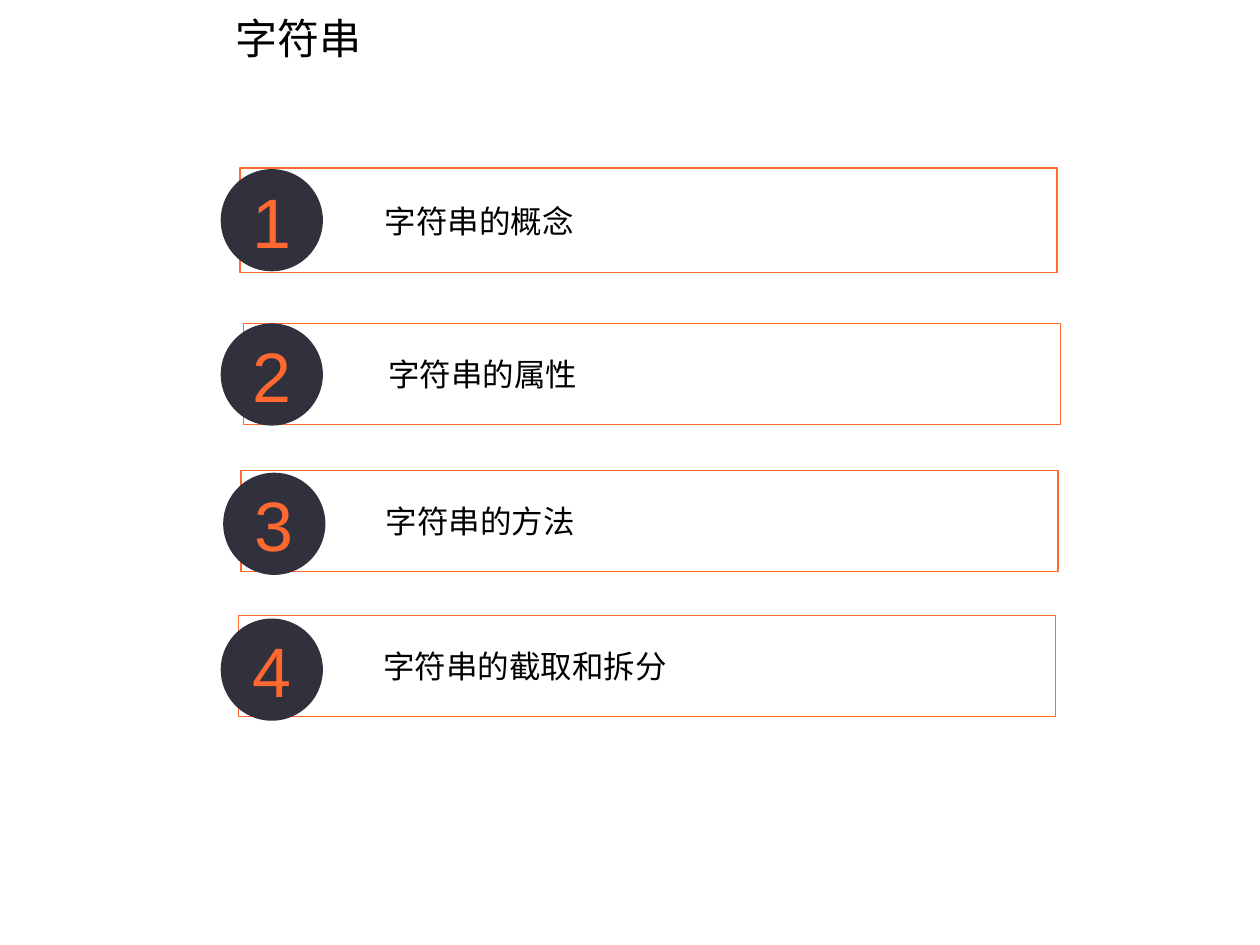
from lxml.etree import SubElement
from pptx import Presentation
from pptx.dml.color import RGBColor
from pptx.enum.shapes import MSO_SHAPE as Shape
from pptx.enum.text import MSO_ANCHOR as Anchor, MSO_AUTO_SIZE as AutoSize, PP_ALIGN as Align
from pptx.oxml.ns import qn
from pptx.util import Cm, Pt


def color(value):
    return RGBColor.from_string(value)


def write(shape, text, size, font_name, font_color, align, anchor, margins):
    frame = shape.text_frame
    frame.text = text
    frame.word_wrap = True
    frame.auto_size = AutoSize.NONE
    frame.vertical_anchor = anchor
    frame.margin_left, frame.margin_top, frame.margin_right, frame.margin_bottom = map(Cm, margins)
    paragraph = frame.paragraphs[0]
    paragraph.alignment = align
    font = paragraph.runs[0].font
    font.size = Pt(size)
    font.name = font_name
    font.color.rgb = color(font_color)
    SubElement(font._element, qn("a:ea")).set("typeface", "Noto Sans CJK SC")
    return paragraph


ORANGE, DARK, WHITE, BLACK = "FF682F", "30313C", "FFFFFF", "000000"
DEFAULT_MARGINS = (0.25, 0.13, 0.25, 0.13)
BAR_MARGINS = (1.65, 0.2, 0.2, 0.2)
BAR_WIDTH = 16.47
CIRCLE_SIZE = 2.06

presentation = Presentation()
presentation.slide_width = Cm(25.4)
presentation.slide_height = Cm(19.05)
slide = presentation.slides.add_slide(presentation.slide_layouts[5])

title = slide.shapes.title
title.left, title.top, title.width, title.height = Cm(4.5), Cm(0.13), Cm(10.21), Cm(1.27)
write(title, "字符串", 24, "Noto Sans CJK SC", BLACK, Align.LEFT, Anchor.TOP, DEFAULT_MARGINS)

topics = [
    ("字符串的概念", 4.84, 3.39, 2.11, 4.45, 3.41),
    ("字符串的属性", 4.91, 6.52, 2.04, 4.45, 6.52),
    ("字符串的方法", 4.86, 9.48, 2.04, 4.5, 9.53),
    ("字符串的截取和拆分", 4.81, 12.41, 2.04, 4.45, 12.47),
]

for number, (topic, bar_left, bar_top, bar_height, circle_left, circle_top) in enumerate(topics, 1):
    bar = slide.shapes.add_shape(
        Shape.RECTANGLE, Cm(bar_left), Cm(bar_top), Cm(BAR_WIDTH), Cm(bar_height))
    bar.shadow.inherit = False
    bar.fill.solid()
    bar.fill.fore_color.rgb = color(WHITE)
    fill_color = bar._element.spPr.find(qn("a:solidFill")).find(qn("a:srgbClr"))
    SubElement(fill_color, qn("a:alpha")).set("val", "40000")
    bar.line.color.rgb = color(ORANGE)
    bar.line.width = Pt(0.75)
    paragraph = write(bar, topic, 18, "Arial", BLACK, Align.LEFT, Anchor.MIDDLE, BAR_MARGINS)
    paragraph.level = 1
    properties = paragraph._p.get_or_add_pPr()
    properties.set("marL", str(Cm(1.27)))
    properties.set("indent", "0")

    circle = slide.shapes.add_shape(
        Shape.OVAL, Cm(circle_left), Cm(circle_top), Cm(CIRCLE_SIZE), Cm(CIRCLE_SIZE))
    circle.shadow.inherit = False
    circle.fill.solid()
    circle.fill.fore_color.rgb = color(DARK)
    circle.line.fill.background()
    write(circle, str(number), 40, "Arial", ORANGE, Align.CENTER, Anchor.MIDDLE, DEFAULT_MARGINS)

presentation.save("out.pptx")
